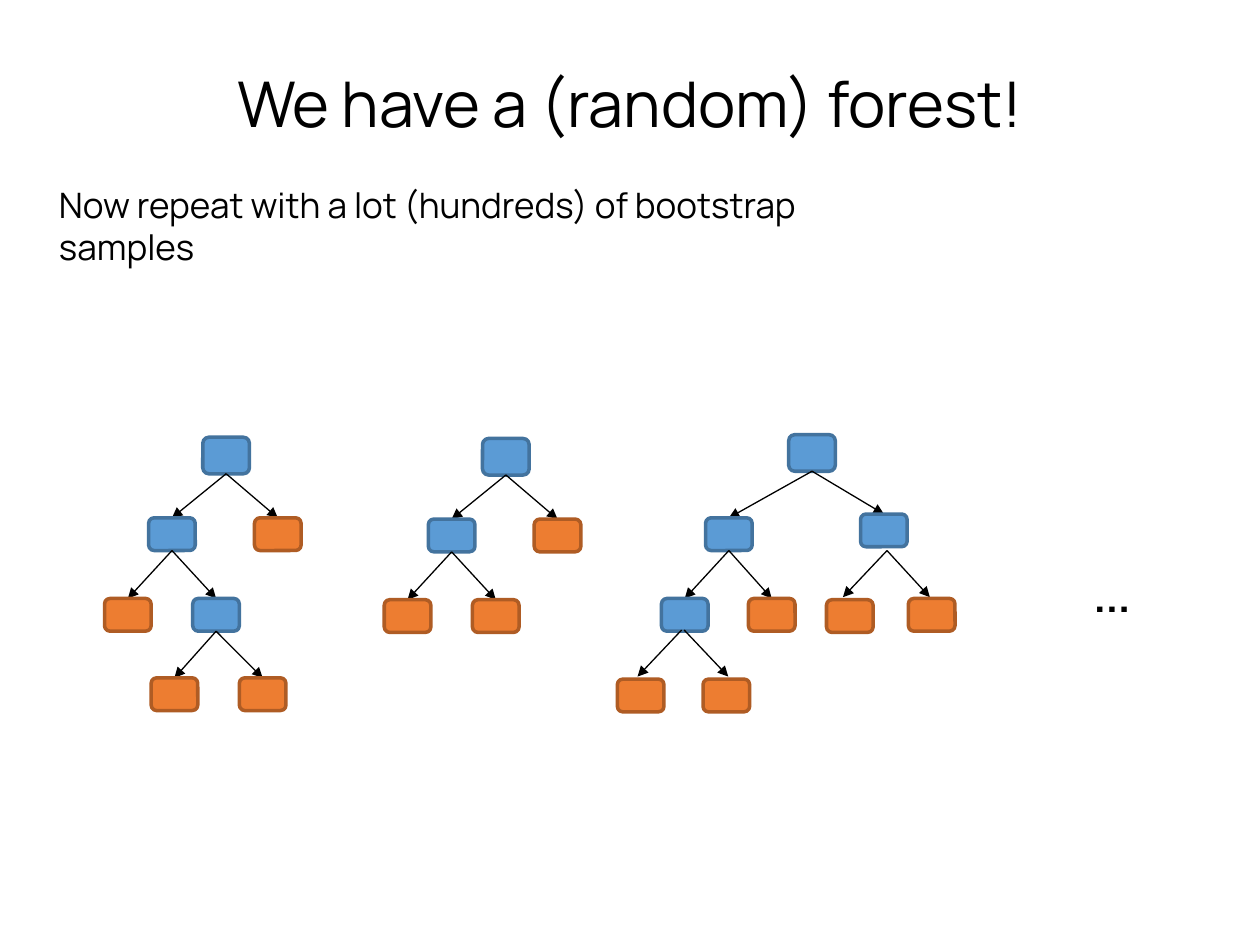
from dataclasses import dataclass
from lxml import etree
from pptx import Presentation, util as u
from pptx.dml.color import RGBColor
from pptx.enum import shapes, text
from pptx.oxml.ns import qn


@dataclass(frozen=True)
class Theme:
    font: str = "Manrope"
    ink: str = "000000"
    split: tuple = ("5B9BD5", "43739E")
    leaf: tuple = ("ED7D31", "AF5C24")
    large: int = 36
    body: int = 20
    outline: float = 2
    arrow: float = 0.75


@dataclass
class Node:
    left: float
    top: float
    children: tuple = ()
    height: float = 0.26
    links: tuple = ()
    width: float = 0.37

    def bottom_point(self):
        return self.left + self.width / 2, self.top + self.height

    def top_point(self):
        return self.left + self.width / 2, self.top

    def edges(self):
        return self.links or [(self.bottom_point(), child.top_point())
                              for child in self.children]


def write(box, words, *, theme, size, align=text.PP_ALIGN.LEFT):
    para = box.text_frame.paragraphs[0]
    para.alignment = align
    span = para.add_run()
    span.text = words
    span.font.name = theme.font
    span.font.size = u.Pt(size)
    span.font.color.rgb = RGBColor.from_string(theme.ink)


class Painter:
    def __init__(self, page, theme):
        self.page = page
        self.theme = theme

    def label(self, words, left, top, width, height, size, wrap=True, **style):
        box = self.page.shapes.add_textbox(*map(u.Inches, (left, top, width, height)))
        box.text_frame.word_wrap = wrap
        write(box, words, theme=self.theme, size=size, **style)

    def node(self, group, node, shift):
        fill, line = self.theme.split if node.children else self.theme.leaf
        box = group.shapes.add_shape(
            shapes.MSO_SHAPE.ROUNDED_RECTANGLE,
            u.Inches(node.left + shift[0]), u.Inches(node.top + shift[1]),
            u.Inches(node.width), u.Inches(node.height))
        box.shadow.inherit = False
        box.fill.solid()
        box.fill.fore_color.rgb = RGBColor.from_string(fill)
        box.line.color.rgb = RGBColor.from_string(line)
        box.line.width = u.Pt(self.theme.outline)

    def arrow(self, group, start, end, shift):
        points = [u.Inches(place + move) for point in (start, end)
                  for place, move in zip(point, shift)]
        arrow = group.shapes.add_connector(shapes.MSO_CONNECTOR.STRAIGHT, *points)
        arrow.line.color.rgb = RGBColor.from_string(self.theme.ink)
        arrow.line.width = u.Pt(self.theme.arrow)
        etree.SubElement(arrow.line._get_or_add_ln(), qn("a:tailEnd"), type="triangle")
        etree.SubElement(arrow._element.spPr, qn("a:effectLst"))

    def branch(self, group, node, shift):
        self.node(group, node, shift)
        for start, end in node.edges():
            self.arrow(group, start, end, shift)
        for child in node.children:
            self.branch(group, child, shift)

    def tree(self, root, shift=(0, 0)):
        self.branch(self.page.shapes.add_group_shape(), root, shift)


def small_tree(*grandchildren):
    inner = Node(1.18, 4.11, (Node(0.83, 4.75), Node(1.53, 4.75, grandchildren)))
    return Node(1.61, 3.47, (inner, Node(2.02, 4.11)), height=0.29)


deck = Presentation()
deck.slide_width, deck.slide_height = u.Inches(10), u.Inches(7.5)
theme = Theme()
painter = Painter(deck.slides.add_slide(deck.slide_layouts[6]), theme)

painter.label("We have a (random) forest!", 0.13, 0.46, 9.74, 0.7, theme.large,
              align=text.PP_ALIGN.CENTER)
painter.label("Now repeat with a lot (hundreds) of bootstrap samples",
              0.37, 1.41, 7.1, 0.43, theme.body)

painter.tree(small_tree(Node(1.2, 5.38), Node(1.9, 5.38)))
painter.tree(small_tree(), shift=(2.22, 0.01))

deep_split = Node(5.25, 4.75, (Node(4.9, 5.39), Node(5.58, 5.39)),
                  links=(((5.41, 5), (5.06, 5.37)), ((5.43, 5), (5.78, 5.37))))
left_split = Node(5.6, 4.11, (deep_split, Node(5.94, 4.75)))
right_split = Node(6.83, 4.08, (Node(6.56, 4.76), Node(7.21, 4.75)),
                   links=(((7.04, 4.37), (6.69, 4.74)), ((7.04, 4.37), (7.38, 4.74))))
painter.tree(Node(6.26, 3.45, (left_split, right_split), height=0.29))

painter.label("…", 8.57, 4.31, 0.43, 0.7, theme.large, wrap=False)

deck.save("out.pptx")
